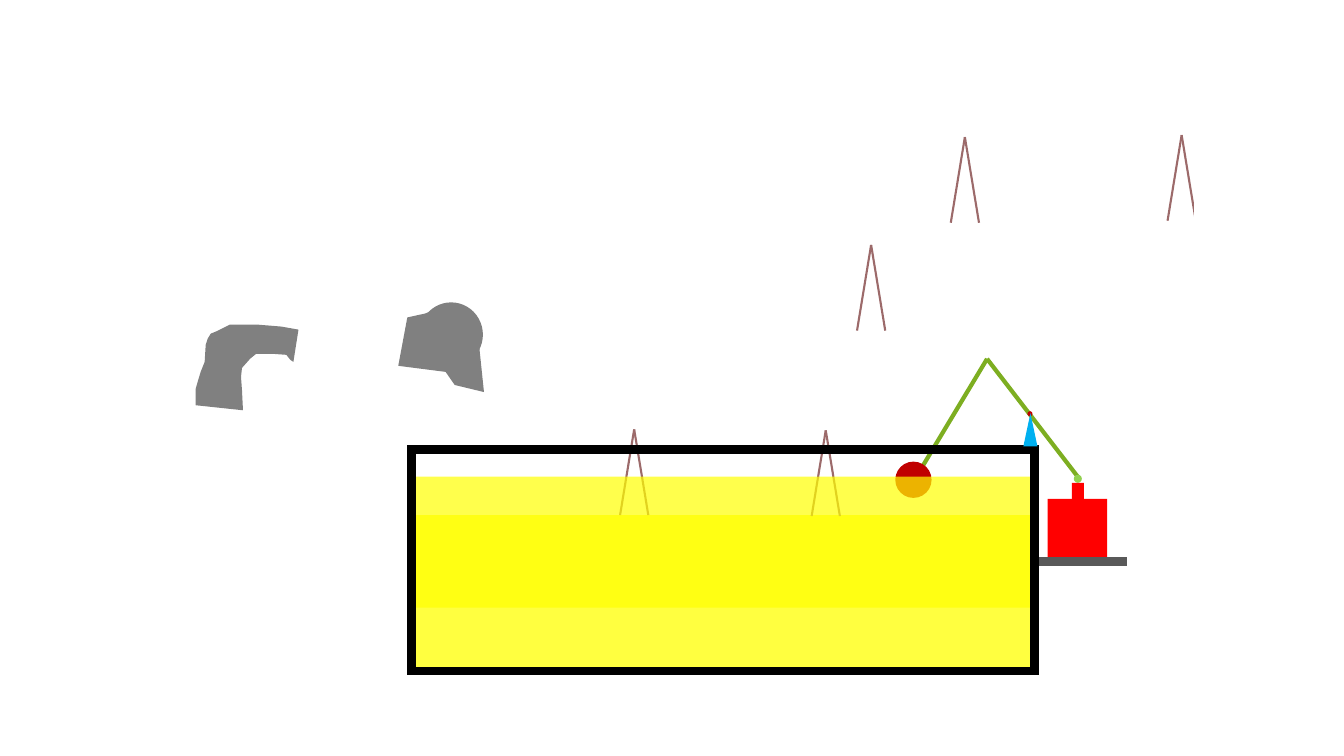
import dataclasses

import lxml.etree
import pptx
import pptx.dml.color
import pptx.enum.shapes
import pptx.oxml.ns
import pptx.util

SHAPE = pptx.enum.shapes.MSO_SHAPE
COLUMNS, ROWS = 13.33, 7.5


@dataclasses.dataclass(frozen=True)
class Theme:
    """Colours and line widths of the slide."""
    arm: str = "7DAE21"
    pivot: str = "92D050"
    float_ball: str = "C00000"
    switch: str = "FF0000"
    shelf: str = "595959"
    liquid: str = "FFFF00"
    mast: str = "9C6A6A"
    tank: str = "000000"
    pipe: str = "808080"
    support: str = "00B0F0"
    paper: str = "FFFFFF"
    hairline: float = 1
    thin: float = 1.5
    medium: float = 3
    thick: float = 6


class Drawing:
    """Draws elements on one slide, placed by grid columns and rows."""

    def __init__(self, theme):
        """Open a blank slide of the grid's size."""
        self.theme = theme
        self.deck = pptx.Presentation()
        self.deck.slide_width = pptx.util.Inches(COLUMNS)
        self.deck.slide_height = pptx.util.Inches(ROWS)
        self.slide = self.deck.slides.add_slide(self.deck.slide_layouts[6])

    def column(self, count):
        """Turn grid columns into a length."""
        return round(self.deck.slide_width * count / COLUMNS)

    def row(self, count):
        """Turn grid rows into a length."""
        return round(self.deck.slide_height * count / ROWS)

    def paint(self, shape, fill=None, opacity=100, line=None, weight=1):
        """Set the fill, outline and shadow of a shape."""
        shape.shadow.inherit = False
        if fill:
            shape.fill.solid()
            shape.fill.fore_color.rgb = pptx.dml.color.RGBColor.from_string(fill)
            if opacity < 100:
                tint = shape._element.spPr.find(".//" + pptx.oxml.ns.qn("a:srgbClr"))
                alpha = lxml.etree.SubElement(tint, pptx.oxml.ns.qn("a:alpha"))
                alpha.set("val", str(opacity * 1000))
        else:
            shape.fill.background()
        if line:
            shape.line.color.rgb = pptx.dml.color.RGBColor.from_string(line)
            shape.line.width = pptx.util.Pt(weight)
            outline = shape._element.spPr.find(pptx.oxml.ns.qn("a:ln"))
            miter = lxml.etree.SubElement(outline, pptx.oxml.ns.qn("a:miter"))
            miter.set("lim", "800000")
        else:
            shape.line.fill.background()

    def shape(self, preset, left, top, width, height, **style):
        """Add a preset shape."""
        added = self.slide.shapes.add_shape(
            preset, self.column(left), self.row(top), self.column(width), self.row(height))
        self.paint(added, **style)

    def outline(self, points, **style):
        """Add a closed freeform through the points."""
        corners = [(self.column(x), self.row(y)) for x, y in points]
        builder = self.slide.shapes.build_freeform(*corners[0])
        builder.add_line_segments(corners[1:], close=True)
        self.paint(builder.convert_to_shape(), **style)

    def line(self, start, end, color, weight):
        """Add a straight line."""
        added = self.slide.shapes.add_connector(
            pptx.enum.shapes.MSO_CONNECTOR.STRAIGHT,
            self.column(start[0]), self.row(start[1]), self.column(end[0]), self.row(end[1]))
        added.line.color.rgb = pptx.dml.color.RGBColor.from_string(color)
        added.line.width = pptx.util.Pt(weight)
        lxml.etree.SubElement(added._element.spPr, pptx.oxml.ns.qn("a:effectLst"))

    def mast(self, apex):
        """Add two thin legs that meet at the apex."""
        x, y = apex
        for side in (-0.14, 0.14):
            self.line((x + side, y + 0.85), apex, self.theme.mast, self.theme.thin)


MASTS = [(9.57, 1.36), (6.29, 4.26), (8.19, 4.27), (8.64, 2.43), (11.72, 1.34)]
NOZZLE = [
    (4.75, 3.41), (4.44, 3.08), (4.41, 3.03), (4.22, 3.11), (4.04, 3.15),
    (3.95, 3.63), (4.42, 3.69), (4.51, 3.82), (4.8, 3.89),
]
ELBOW = [
    (2.41, 4.07), (2.4, 3.87), (2.39, 3.74), (2.4, 3.65), (2.48, 3.56), (2.54, 3.51),
    (2.7, 3.51), (2.84, 3.52), (2.88, 3.57), (2.91, 3.59), (2.96, 3.27), (2.79, 3.24),
    (2.55, 3.22), (2.28, 3.22), (2.14, 3.29), (2.09, 3.31), (2.06, 3.36), (2.04, 3.42),
    (2.03, 3.59), (1.99, 3.69), (1.96, 3.79), (1.94, 3.86), (1.94, 4.02),
]


def main():
    """Build the tank with its float, switch and pipes."""
    theme = Theme()
    scene = Drawing(theme)
    for arm_end in ((9.07, 4.76), (10.69, 4.73)):
        scene.line(arm_end, (9.79, 3.56), theme.arm, theme.medium)
    scene.shape(SHAPE.OVAL, 8.88, 4.58, 0.36, 0.36, fill=theme.float_ball)
    scene.shape(SHAPE.OVAL, 10.65, 4.71, 0.08, 0.08, fill=theme.pivot)
    scene.shape(SHAPE.FLOWCHART_CONNECTOR, 10.19, 4.08, 0.05, 0.05, fill=theme.float_ball)
    scene.shape(SHAPE.RECTANGLE, 10.39, 4.95, 0.59, 0.62, fill=theme.switch)
    scene.line((10.26, 5.57), (11.18, 5.57), theme.shelf, theme.thick)
    scene.shape(SHAPE.RECTANGLE, 4.08, 5.11, 6.17, 1.55, fill=theme.liquid, opacity=75)
    for apex in MASTS:
        scene.mast(apex)
    scene.shape(SHAPE.RECTANGLE, 11.85, 1.14, 1.48, 2.41,
                fill=theme.paper, line=theme.paper, weight=theme.hairline)
    scene.shape(SHAPE.RECTANGLE, 4.09, 4.73, 6.17, 1.3, fill=theme.liquid, opacity=70)
    scene.shape(SHAPE.RECTANGLE, 4.08, 4.46, 6.18, 2.2, line=theme.tank, weight=theme.thick)
    scene.shape(SHAPE.OVAL, 4.16, 3, 0.63, 0.64, fill=theme.pipe)
    for pipe_part in (NOZZLE, ELBOW):
        scene.outline(pipe_part, fill=theme.pipe)
    scene.shape(SHAPE.ISOSCELES_TRIANGLE, 10.15, 4.1, 0.14, 0.33, fill=theme.support)
    scene.shape(SHAPE.RECTANGLE, 10.63, 4.79, 0.12, 0.17, fill=theme.switch)
    scene.deck.save("out.pptx")


if __name__ == "__main__":
    main()
